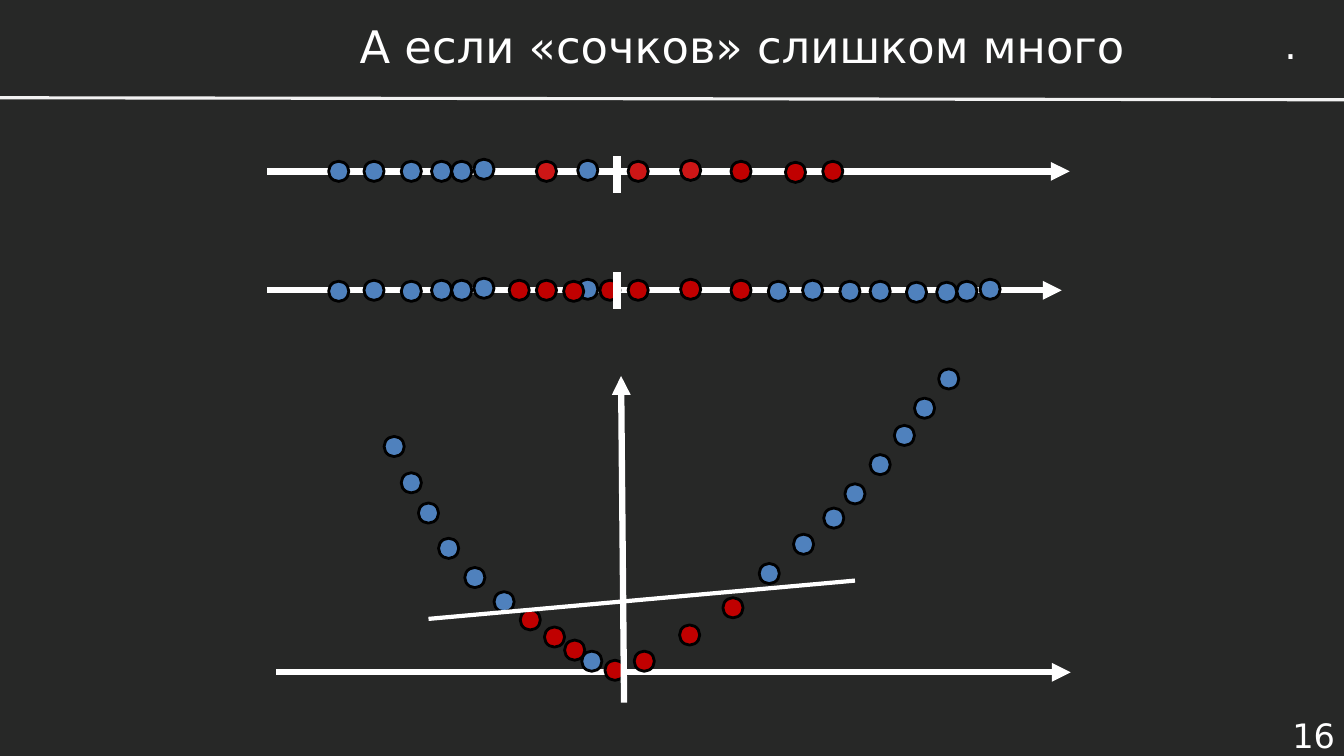
"""Build a slide on separating points on a line and on a parabola."""
from lxml.etree import SubElement
from pptx import Presentation
from pptx.dml.color import RGBColor
from pptx.enum.shapes import MSO_CONNECTOR, MSO_SHAPE
from pptx.enum.text import MSO_ANCHOR, MSO_AUTO_SIZE, PP_ALIGN
from pptx.oxml.ns import qn
from pptx.util import Inches, Pt

CELL = Inches(0.1)
DOT = 2
BLUE, RED, BRIGHT_RED = "4F81BD", "C00000", "CC1616"


def paint(color_format, hex_color):
    color_format.rgb = RGBColor.from_string(hex_color)


def draw_line(start, end, width, color="FFFFFF", arrow=False):
    line = slide.shapes.add_connector(
        MSO_CONNECTOR.STRAIGHT, *(round(v * CELL) for v in start + end))
    line.line.width = Pt(width)
    paint(line.line.color, color)
    properties = line._element.spPr
    if arrow:
        SubElement(properties.find(qn("a:ln")), qn("a:tailEnd"), type="triangle")
    SubElement(properties, qn("a:effectLst"))


deck = Presentation()
deck.slide_width, deck.slide_height = Inches(13.33), Inches(7.5)
slide = deck.slides.add_slide(deck.slide_layouts[6])
slide.background.fill.solid()
paint(slide.background.fill.fore_color, "272827")

labels = [
    ("16", (122.9, 70.8, 10.5, 4.2), 24, PP_ALIGN.RIGHT, MSO_ANCHOR.MIDDLE, True),
    ("А если «сочков» слишком много", (34.4, 1.9, 78.5, 5.3), 32,
     PP_ALIGN.CENTER, MSO_ANCHOR.MIDDLE, True),
    (".", (126.4, 1.5, 3.4, 5.7), 28, PP_ALIGN.LEFT, MSO_ANCHOR.TOP, False),
]
for wording, area, size, align, anchor, wrap in labels:
    label = slide.shapes.add_textbox(*(round(v * CELL) for v in area))
    frame = label.text_frame
    frame.text = wording
    frame.word_wrap = wrap
    frame.auto_size = MSO_AUTO_SIZE.NONE if wrap else MSO_AUTO_SIZE.SHAPE_TO_FIT_TEXT
    frame.vertical_anchor = anchor
    paragraph = frame.paragraphs[0]
    paragraph.alignment = align
    font = paragraph.runs[0].font
    font.name, font.size = "DejaVu Sans", Pt(size)
    paint(font.color, "FFFFFF")

draw_line((0, 9.7), (133.3, 9.9), 2.25, "F2F2F2")

separable = [
    (BLUE, [(32.6, 16), (36.1, 16), (39.8, 16), (42.8, 16), (44.8, 16),
            (47, 15.8), (57.3, 15.9)]),
    (BRIGHT_RED, [(53.2, 16), (62.3, 16), (67.5, 15.9)]),
    (RED, [(72.5, 16), (77.9, 16.1), (81.6, 16)]),
]
mixed = [
    (BLUE, [(32.6, 27.9), (36.1, 27.8), (39.8, 27.9), (42.8, 27.8), (44.8, 27.8),
            (47, 27.6), (57.3, 27.7), (76.2, 27.9), (79.6, 27.8), (83.3, 27.9),
            (86.3, 27.9), (89.9, 28), (92.9, 28), (94.9, 27.9), (97.2, 27.7)]),
    (RED, [(50.5, 27.8), (53.2, 27.8), (55.9, 27.9), (59.5, 27.8), (62.3, 27.8),
           (67.5, 27.7), (72.5, 27.8)]),
]
parabola = [
    (BLUE, [(38.1, 43.3), (39.8, 46.9), (41.5, 49.9), (43.5, 53.4), (46.1, 56.3),
            (49, 58.7), (57.7, 64.6), (75.3, 55.9), (78.7, 53), (81.7, 50.4),
            (83.8, 48), (86.3, 45.1), (88.7, 42.2), (90.7, 39.5), (93.1, 36.6)]),
    (RED, [(51.6, 60.5), (54, 62.2), (56, 63.5), (60, 65.5), (62.9, 64.6),
           (67.4, 62), (71.7, 59.3)]),
]
axes = [
    ((26.5, 17), (106.1, 17), separable),
    ((26.5, 28.8), (105.3, 28.8), mixed),
    ((27.4, 66.7), (106.2, 66.7), parabola),
]
for start, end, groups in axes:
    draw_line(start, end, 4.5, arrow=True)
    for color, places in groups:
        for column, row in places:
            dot = slide.shapes.add_shape(
                MSO_SHAPE.OVAL, *(round(v * CELL) for v in (column, row, DOT, DOT)))
            dot.shadow.inherit = False
            dot.fill.solid()
            paint(dot.fill.fore_color, color)
            dot.line.width = Pt(2)
            paint(dot.line.color, "000000")

for top, bottom in [(15.5, 19.1), (27, 30.7)]:
    draw_line((61.2, top), (61.2, bottom), 6)
draw_line((61.9, 69.7), (61.6, 37.3), 4.5, arrow=True)
draw_line((42.5, 61.4), (84.8, 57.6), 3)

deck.save("out.pptx")
